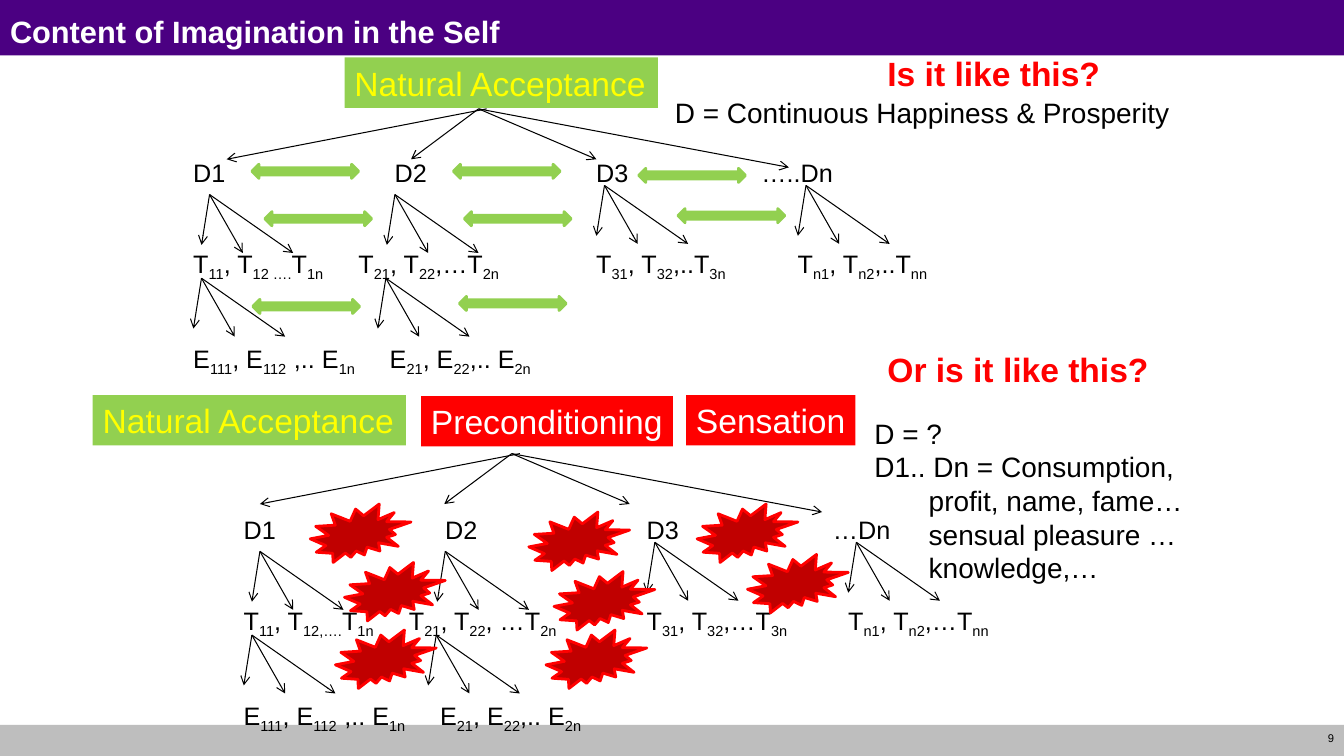
"""Build the slide comparing two desire-thought-expectation trees of imagination."""
import pptx
import pptx.dml.color
import pptx.enum.dml
import pptx.enum.shapes
import pptx.enum.text
import pptx.oxml.ns
import pptx.util
import lxml.etree

RGBColor = pptx.dml.color.RGBColor
PURPLE = RGBColor(0x4B, 0x00, 0x82)
GRAY = RGBColor(0xBE, 0xBE, 0xBE)
GREEN = RGBColor(0x92, 0xD0, 0x50)
YELLOW = RGBColor(0xFF, 0xFF, 0x00)
RED = RGBColor(0xFF, 0x00, 0x00)
DARK_RED = RGBColor(0xC0, 0x00, 0x00)
BLACK = RGBColor(0x00, 0x00, 0x00)
WHITE = RGBColor(0xFF, 0xFF, 0xFF)

SHAPE = pptx.enum.shapes.MSO_SHAPE
WIDTH, HEIGHT = 13.34, 7.5
FONT = "Arial"

TITLE = "Content of Imagination in the Self"
BARS = [((0, 0, WIDTH, 0.55), PURPLE), ((0, 7.19, WIDTH, 0.31), GRAY)]
LABELS = [
    ("Natural Acceptance", (3.42, 0.57, 3.11, 0.5), GREEN, YELLOW),
    ("Natural Acceptance", (0.92, 3.92, 3.11, 0.5), GREEN, YELLOW),
    ("Preconditioning", (4.18, 3.93, 2.5, 0.5), RED, WHITE),
    ("Sensation", (6.81, 3.92, 1.68, 0.5), RED, WHITE),
]
QUESTIONS = [
    ("Is it like this?", (8.71, 0.48, 2.31, 0.5)),
    ("Or is it like this?", (8.71, 3.41, 2.79, 0.5)),
]
GOAL = "D = Continuous Happiness & Prosperity"
MEANINGS = [
    ("D = ?", 0),
    ("D1.. Dn = Consumption,", 0),
    ("profit, name, fame…", 0.54),
    ("sensual pleasure …", 0.54),
    ("knowledge,…", 0.54),
]
EXPECTATIONS = ("E[111], E[112]\t,.. E[1n]\tE[21], E[22],.. E[2n]", (1, 1.95))
TREES = [
    {
        "corner": (1.82, 1.51),
        "root": (4.75, 1.08),
        "rows": [
            ("D1\tD2\tD3\t…..Dn", (2, 4, 5.64)),
            ("T[11], T[12 ….]T[1n]\tT[21], T[22],…T[2n]\tT[31], T[32],..T[3n]\tT[n1], T[n2],..T[nn]",
             (1.64, 4, 6)),
            EXPECTATIONS,
        ],
    },
    {
        "corner": (2.32, 5.05),
        "root": (5.08, 4.5),
        "rows": [
            ("D1\tD2\tD3\t…Dn", (2, 4, 5.85)),
            ("T[11], T[12,….]T[1n]\tT[21], T[22], …T[2n]\tT[31], T[32],…T[3n]\tT[n1], T[n2],…T[nn]",
             (1.64, 4, 6)),
            EXPECTATIONS,
        ],
    },
]
ROOT_ARROWS = [(0.08, -2.5, 0.5), (0, -0.67, 0.5), (0, 1.17, 0.5), (0, 3.08, 0.58)]
FAN_APEXES = [(0.26, 0.42), (2.1, 0.42), (4.18, 0.33), (6.18, 0.33), (0.18, 1.25), (2.01, 1.25)]
FAN_ARROWS = [(-0.08, 0.5), (0.33, 0.58), (0.83, 0.58)]
HARMONY = [(2.5, 1.63), (4.5, 1.63), (6.34, 1.67), (2.63, 2.1),
           (4.61, 2.1), (6.73, 2.07), (2.51, 2.97), (4.56, 2.94)]
CONFLICT = [(3.08, 5), (5.25, 5.08), (6.92, 5), (3.42, 5.58),
            (5.5, 5.67), (7.42, 5.5), (3.33, 6.25), (5.42, 6.25)]


def inches(values):
    """Convert a sequence of numbers to lengths."""
    return [pptx.util.Inches(value) for value in values]


def format_paragraph(paragraph, size, color, bold=False):
    """Style every run of a left-aligned paragraph."""
    paragraph.alignment = pptx.enum.text.PP_ALIGN.LEFT
    for run in paragraph.runs:
        run.font.name = FONT
        run.font.size = pptx.util.Pt(size)
        run.font.color.rgb = color
        run.font.bold = bold


def add_text(slide, text, box, size, color=BLACK, bold=False, wrap=True):
    """Add a text box with one or more lines and return its paragraphs."""
    text_frame = slide.shapes.add_textbox(*inches(box)).text_frame
    text_frame.word_wrap = wrap
    text_frame.text = text
    for paragraph in text_frame.paragraphs:
        format_paragraph(paragraph, size, color, bold)
    return text_frame.paragraphs


def add_filled(slide, kind, box, fill, line=None):
    """Add a flat preset shape with an optional outline."""
    shape = slide.shapes.add_shape(kind, *inches(box))
    shape.shadow.inherit = False
    shape.fill.solid()
    shape.fill.fore_color.rgb = fill
    if line is None:
        shape.line.fill.background()
    else:
        shape.line.color.rgb = line
        shape.line.width = pptx.util.Pt(2)
    return shape


def add_arrow(slide, start, end):
    """Add a thin black line with an open arrowhead at its end."""
    connector = slide.shapes.add_connector(
        pptx.enum.shapes.MSO_CONNECTOR.STRAIGHT, *inches(start + end))
    connector.line.color.rgb = BLACK
    connector.line.width = pptx.util.Pt(0.75)
    qualified = pptx.oxml.ns.qn
    lxml.etree.SubElement(connector.line._get_or_add_ln(), qualified("a:tailEnd"), type="arrow")
    lxml.etree.SubElement(connector._element.spPr, qualified("a:effectLst"))


def fill_row(paragraph, text, tab_stops):
    """Write a tabbed tree row whose bracketed parts are subscripts."""
    qualified = pptx.oxml.ns.qn
    properties = paragraph._p.get_or_add_pPr()
    tab_list = lxml.etree.SubElement(properties, qualified("a:tabLst"))
    for stop in tab_stops:
        lxml.etree.SubElement(tab_list, qualified("a:tab"),
                              pos=str(pptx.util.Inches(stop)), algn="l")
    for index, part in enumerate(text.replace("]", "[").split("[")):
        if part:
            run = paragraph.add_run()
            run.text = part
            if index % 2:
                run.font._element.set("baseline", "-25000")
    format_paragraph(paragraph, 18, BLACK)


def add_tree(slide, tree):
    """Add the rows of one tree with its root and fan arrows."""
    left, top = tree["corner"]
    text_frame = slide.shapes.add_textbox(*inches((left, top, 7.6, 2.33))).text_frame
    text_frame.word_wrap = True
    for index, (text, tab_stops) in enumerate(tree["rows"]):
        paragraph = text_frame.add_paragraph() if index else text_frame.paragraphs[0]
        fill_row(paragraph, text, tab_stops)
        if index:
            paragraph.space_before = pptx.util.Pt(43.4)
    root_x, root_y = tree["root"]
    for shift, across, down in ROOT_ARROWS:
        add_arrow(slide, (root_x + shift, root_y), (root_x + across, root_y + down))
    for apex_x, apex_y in FAN_APEXES:
        start = (left + apex_x, top + apex_y)
        for across, down in FAN_ARROWS:
            add_arrow(slide, start, (start[0] + across, start[1] + down))


def main():
    """Assemble and save the slide."""
    presentation = pptx.Presentation()
    presentation.slide_width, presentation.slide_height = inches((WIDTH, HEIGHT))
    slide = presentation.slides.add_slide(presentation.slide_layouts[5])

    for position, (box, color) in enumerate(BARS, start=2):
        bar = add_filled(slide, SHAPE.RECTANGLE, box, color)
        slide.shapes._spTree.insert(position, bar._element)

    title = slide.shapes.title
    title.left, title.top, title.width, title.height = inches((0, 0.08, WIDTH, 0.42))
    title.text_frame.text = TITLE
    title.text_frame.vertical_anchor = pptx.enum.text.MSO_ANCHOR.TOP
    format_paragraph(title.text_frame.paragraphs[0], 22, WHITE, True)

    number = add_text(slide, "9", (12.71, 7.21, 0.63, 0.28), 8)[0]
    number.alignment = pptx.enum.text.PP_ALIGN.RIGHT

    for tree in TREES:
        add_tree(slide, tree)
    for corner in HARMONY:
        add_filled(slide, SHAPE.LEFT_RIGHT_ARROW, corner + (1.06, 0.14), GREEN, GREEN)
    for corner in CONFLICT:
        add_filled(slide, SHAPE.EXPLOSION2, corner + (1, 0.58), DARK_RED, RED)

    for text, box, fill, color in LABELS:
        label = add_filled(slide, SHAPE.RECTANGLE, box, fill)
        label.text_frame.word_wrap = False
        label.text_frame.text = text
        format_paragraph(label.text_frame.paragraphs[0], 24, color)
    for text, box in QUESTIONS:
        add_text(slide, text, box, 24, RED, True, wrap=False)

    add_text(slide, GOAL, (6.6, 0.9, 5.57, 0.44), 20)
    lines = add_text(slide, "\n".join(text for text, _ in MEANINGS), (8.58, 4.08, 3.26, 2.1), 20)
    for paragraph, (_, indent) in zip(lines, MEANINGS):
        paragraph._p.get_or_add_pPr().set("marL", str(pptx.util.Inches(indent)))

    presentation.save("out.pptx")


if __name__ == "__main__":
    main()
